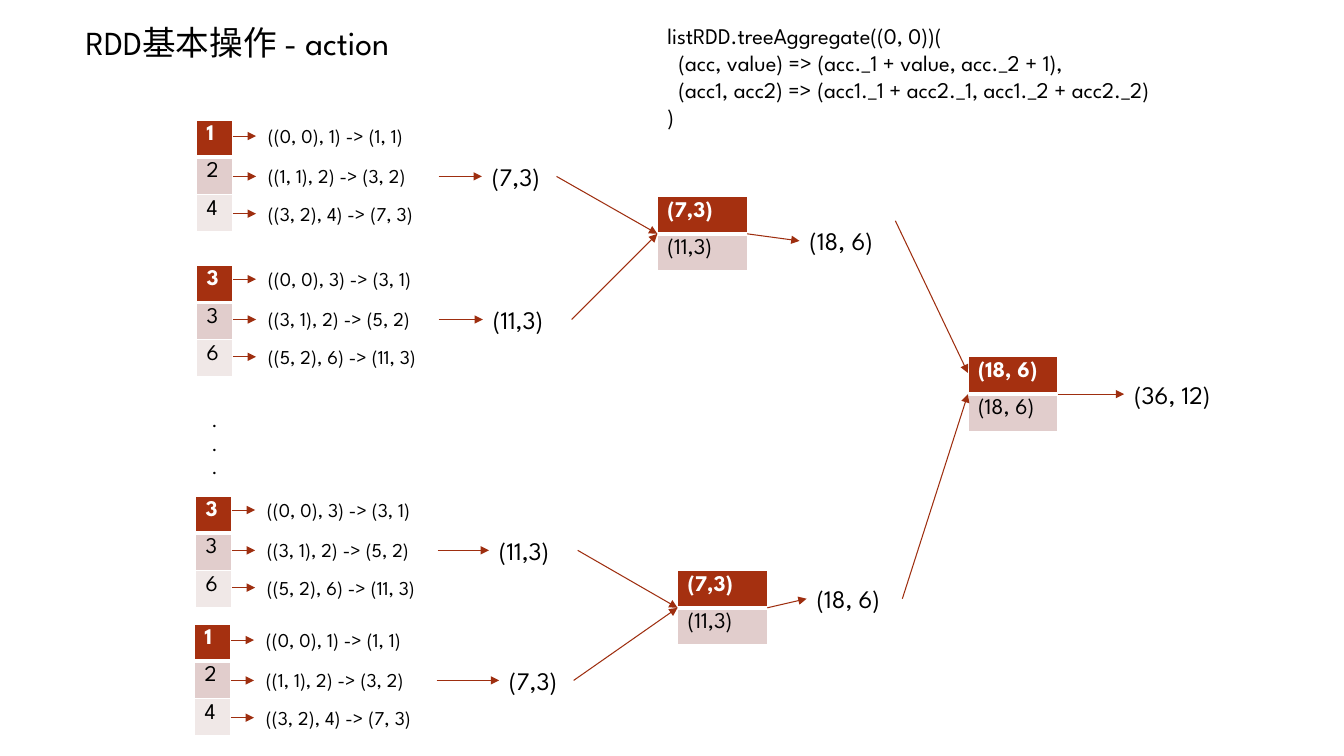
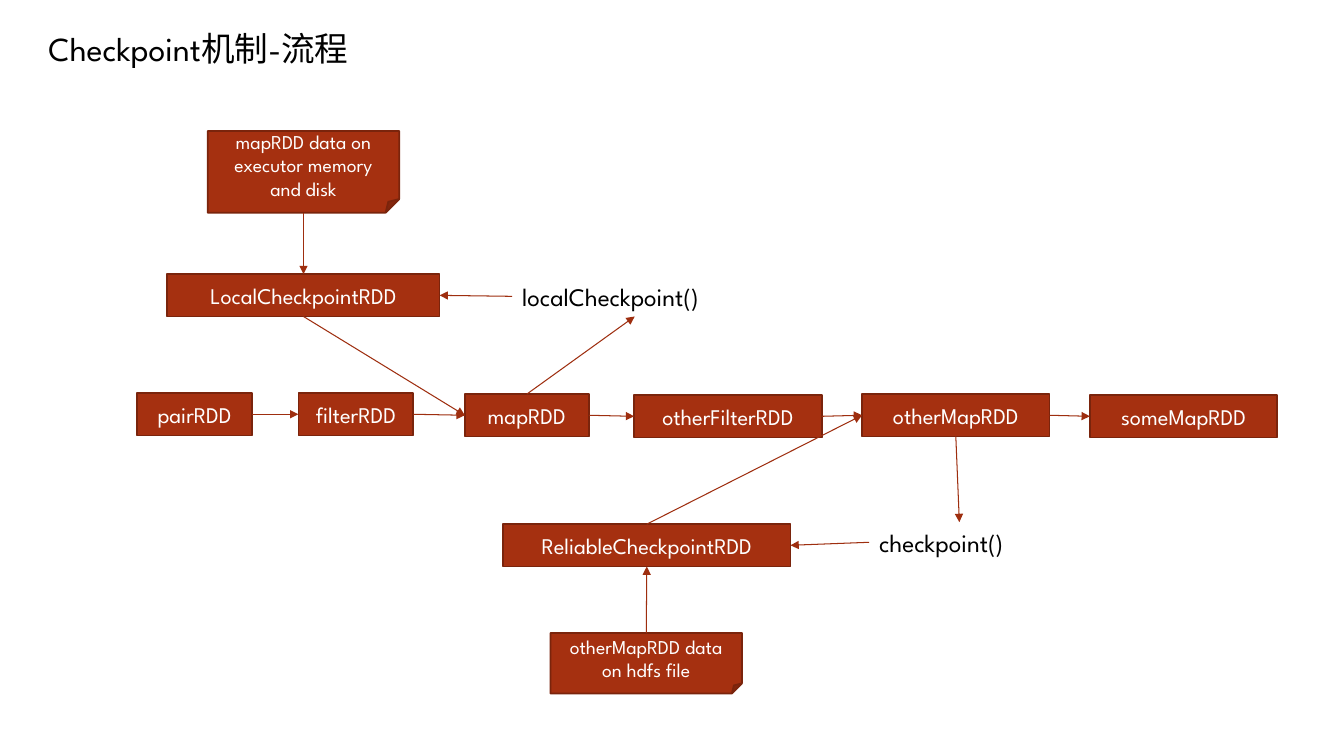
from lxml import etree
from pptx import Presentation
from pptx.dml.color import RGBColor
from pptx.enum.shapes import MSO_CONNECTOR, MSO_SHAPE
from pptx.enum.text import MSO_ANCHOR, MSO_AUTO_SIZE, PP_ALIGN
from pptx.oxml.ns import qn
from pptx.util import Inches, Pt

STRAIGHT = MSO_CONNECTOR.STRAIGHT
RECTANGLE = MSO_SHAPE.RECTANGLE
NOTE = MSO_SHAPE.FOLDED_CORNER
MIDDLE = MSO_ANCHOR.MIDDLE
FIXED_SIZE = MSO_AUTO_SIZE.NONE
LEFT_ALIGNED, CENTERED = PP_ALIGN.LEFT, PP_ALIGN.CENTER

FONT = "League Spartan"
BLACK, WHITE = "000000", "FFFFFF"
RUST, DARK_RUST, ARROW_RUST = "A53010", "7A240C", "9E2E0F"
ROW_FILLS = (RUST, "E1CDCC", "F0E8E7")

TOP, LEFT, BOTTOM, RIGHT = range(4)
ROW_HEIGHT = 0.37
MERGE_WIDTH = 0.89
STEP_OFFSETS = (0, 0.4, 0.77)

AGGREGATE_CODE = """listRDD.treeAggregate((0, 0))(
  (acc, value) => (acc._1 + value, acc._2 + 1),
  (acc1, acc2) => (acc1._1 + acc2._1, acc1._2 + acc2._2)
)"""

SUM_SEVEN = (
    ("1", "2", "4"),
    ("((0, 0), 1) -> (1, 1)", "((1, 1), 2) -> (3, 2)", "((3, 2), 4) -> (7, 3)"),
    "(7,3)", 0.74,
)
SUM_ELEVEN = (
    ("3", "3", "6"),
    ("((0, 0), 3) -> (3, 1)", "((3, 1), 2) -> (5, 2)", "((5, 2), 6) -> (11, 3)"),
    "(11,3)", 0.88,
)

RDD_BOXES = {
    "pairRDD": (1.36, 3.9, 1.14),
    "filterRDD": (2.96, 3.9, 1.14),
    "mapRDD": (4.61, 3.91, 1.23),
    "otherFilterRDD": (6.29, 3.92, 1.86),
    "otherMapRDD": (8.55, 3.91, 1.86),
    "someMapRDD": (10.81, 3.92, 1.86),
    "LocalCheckpointRDD": (1.66, 2.72, 2.7),
    "ReliableCheckpointRDD": (4.99, 5.2, 2.85),
}
CALLS = {
    "localCheckpoint()": (5.08, 2.74, 2.43),
    "checkpoint()": (8.62, 5.18, 1.79),
}
NOTES = {
    "mapRDD data on executor memory and disk": (2.06, 1.3, 1.9, 0.81),
    "otherMapRDD data on hdfs file": (5.46, 6.28, 1.9, 0.6),
}
FLOW = (
    ("pairRDD", RIGHT, "filterRDD", LEFT),
    ("filterRDD", RIGHT, "mapRDD", LEFT),
    ("mapRDD", RIGHT, "otherFilterRDD", LEFT),
    ("otherFilterRDD", RIGHT, "otherMapRDD", LEFT),
    ("otherMapRDD", RIGHT, "someMapRDD", LEFT),
    ("mapRDD", TOP, "localCheckpoint()", BOTTOM),
    ("localCheckpoint()", LEFT, "LocalCheckpointRDD", RIGHT),
    ("LocalCheckpointRDD", BOTTOM, "mapRDD", LEFT),
    ("otherMapRDD", BOTTOM, "checkpoint()", TOP),
    ("checkpoint()", LEFT, "ReliableCheckpointRDD", RIGHT),
    ("ReliableCheckpointRDD", TOP, "otherMapRDD", LEFT),
    ("mapRDD data on executor memory and disk", BOTTOM, "LocalCheckpointRDD", TOP),
    ("otherMapRDD data on hdfs file", TOP, "ReliableCheckpointRDD", BOTTOM),
)


def set_color(fill, color):
    """Make a fill solid in the given hex colour."""
    fill.solid()
    fill.fore_color.rgb = RGBColor.from_string(color)


def write(text_frame, text, size, color=BLACK, bold=False, alignment=LEFT_ALIGNED):
    """Write text into a frame and format all its runs."""
    text_frame.text = text
    for paragraph in text_frame.paragraphs:
        paragraph.alignment = alignment
        for run in paragraph.runs:
            run.font.name = FONT
            run.font.size = Pt(size)
            run.font.bold = bold
            set_color(run.font.fill, color)


def add_titled_slide(presentation, title, left, top):
    """Add a slide whose title placeholder sits at the given place."""
    slide = presentation.slides.add_slide(presentation.slide_layouts[5])
    shape = slide.shapes.title
    shape.left, shape.top = Inches(left), Inches(top)
    shape.width, shape.height = Inches(5), Inches(0.5)
    shape.text_frame.auto_size = FIXED_SIZE
    shape.text_frame.vertical_anchor = MIDDLE
    write(shape.text_frame, title, 24)
    return slide


def add_text(slide, text, left, top, width, height=0.4, size=18):
    """Add a plain text box."""
    box = slide.shapes.add_textbox(
        Inches(left), Inches(top), Inches(width), Inches(height))
    box.text_frame.word_wrap = True
    write(box.text_frame, text, size)
    return box


def add_box(slide, text, left, top, width, height=0.42, size=16, kind=RECTANGLE):
    """Add a filled shape with centred white text."""
    shape = slide.shapes.add_shape(
        kind, Inches(left), Inches(top), Inches(width), Inches(height))
    shape.shadow.inherit = False
    set_color(shape.fill, RUST)
    set_color(shape.line.fill, DARK_RUST)
    shape.line.width = Pt(1.25)
    shape.text_frame.vertical_anchor = MIDDLE
    write(shape.text_frame, text, size, WHITE, alignment=CENTERED)
    return shape


def add_arrow(slide, start=(0, 0), end=(0, 0)):
    """Add a thin straight arrow between two points."""
    arrow = slide.shapes.add_connector(
        STRAIGHT, *(Inches(length) for length in (*start, *end)))
    set_color(arrow.line.fill, ARROW_RUST)
    arrow.line.width = Pt(0.75)
    properties = arrow.element.spPr
    etree.SubElement(properties.find(qn("a:ln")), qn("a:tailEnd"), type="triangle")
    etree.SubElement(properties, qn("a:effectLst"))
    return arrow


def add_cell_border(cell, side, points):
    """Draw a white border on one side of a cell."""
    line = etree.SubElement(
        cell._tc.get_or_add_tcPr(), qn(f"a:ln{side}"), w=str(Pt(points)))
    fill = etree.SubElement(line, qn("a:solidFill"))
    etree.SubElement(fill, qn("a:srgbClr"), val=WHITE)


def add_stack(slide, values, left, top, width):
    """Add a one-column table with a dark first row."""
    table = slide.shapes.add_table(
        len(values), 1, Inches(left), Inches(top),
        Inches(width), Inches(ROW_HEIGHT * len(values))).table
    for index, value in enumerate(values):
        table.rows[index].height = Inches(ROW_HEIGHT)
        cell = table.cell(index, 0)
        is_first = index == 0
        for side in "LRTB":
            is_thick = (side == "B" and is_first) or (side == "T" and index == 1)
            add_cell_border(cell, side, 3 if is_thick else 1)
        set_color(cell.fill, ROW_FILLS[index])
        write(cell.text_frame, value, 16, WHITE if is_first else BLACK, is_first)


def add_partition(slide, partition, left, top, steps_top, result_left):
    """Add a partition with its steps and result; return the result's right end."""
    values, steps, result, result_width = partition
    add_stack(slide, values, left, top, 0.36)
    for step, offset in zip(steps, STEP_OFFSETS):
        step_top = steps_top + offset
        add_text(slide, step, left + 0.61, step_top, 1.9, 0.34, 14)
        arrow_y = step_top + 0.17
        add_arrow(slide, (left + 0.36, arrow_y), (left + 0.59, arrow_y))
    middle = steps_top + 0.57
    add_arrow(slide, (left + 2.4, middle), (result_left, middle))
    add_text(slide, result, result_left, middle - 0.2, result_width)
    return result_left + result_width, middle


def add_merge(slide, values, left, top, result, result_left, result_top):
    """Add a merge of two values with an arrow to its result."""
    add_stack(slide, values, left, top, MERGE_WIDTH)
    add_arrow(slide, (left + MERGE_WIDTH, top + ROW_HEIGHT),
              (result_left, result_top + 0.2))
    add_text(slide, result, result_left, result_top, 1.09)


def build_aggregate_slide(presentation):
    """Build the tree aggregation slide."""
    slide = add_titled_slide(presentation, "RDD基本操作 - action", 0.75, 0.17)
    add_text(slide, AGGREGATE_CODE, 6.52, 0.17, 6.41, 1.18, 16)
    add_text(slide, ".\n.\n.", 2, 4, 0.26, 0.81, 14)
    upper_ends = (
        add_partition(slide, SUM_SEVEN, 1.95, 1.19, 1.18, 4.78),
        add_partition(slide, SUM_ELEVEN, 1.95, 2.63, 2.6, 4.79),
    )
    lower_ends = (
        add_partition(slide, SUM_ELEVEN, 1.94, 4.92, 4.89, 4.85),
        add_partition(slide, SUM_SEVEN, 1.93, 6.19, 6.18, 4.95),
    )
    merges = ((upper_ends, 6.52, 1.95, 7.93, 2.19),
              (lower_ends, 6.72, 5.66, 8, 5.74))
    for ends, left, top, result_left, result_top in merges:
        add_merge(slide, ("(7,3)", "(11,3)"), left, top,
                  "(18, 6)", result_left, result_top)
        for end in ends:
            add_arrow(slide, end, (left, top + ROW_HEIGHT))
    add_merge(slide, ("(18, 6)", "(18, 6)"), 9.6, 3.54, "(36, 12)", 11.15, 3.71)
    add_arrow(slide, (8.88, 2.19), (9.6, 3.7))
    add_arrow(slide, (8.95, 5.94), (9.6, 3.91))


def build_checkpoint_slide(presentation):
    """Build the checkpoint flow slide."""
    slide = add_titled_slide(presentation, "Checkpoint机制-流程", 0.38, 0.23)
    nodes = {}
    for name, place in RDD_BOXES.items():
        nodes[name] = add_box(slide, name, *place)
    for name, place in CALLS.items():
        nodes[name] = add_text(slide, name, *place)
    for name, place in NOTES.items():
        nodes[name] = add_box(slide, name, *place, size=14, kind=NOTE)
    for source, source_side, target, target_side in FLOW:
        arrow = add_arrow(slide)
        arrow.begin_connect(nodes[source], source_side)
        arrow.end_connect(nodes[target], target_side)


def main():
    """Build and save the presentation."""
    presentation = Presentation()
    presentation.slide_width = Inches(13.33)
    presentation.slide_height = Inches(7.5)
    build_aggregate_slide(presentation)
    build_checkpoint_slide(presentation)
    presentation.save("out.pptx")


if __name__ == "__main__":
    main()
